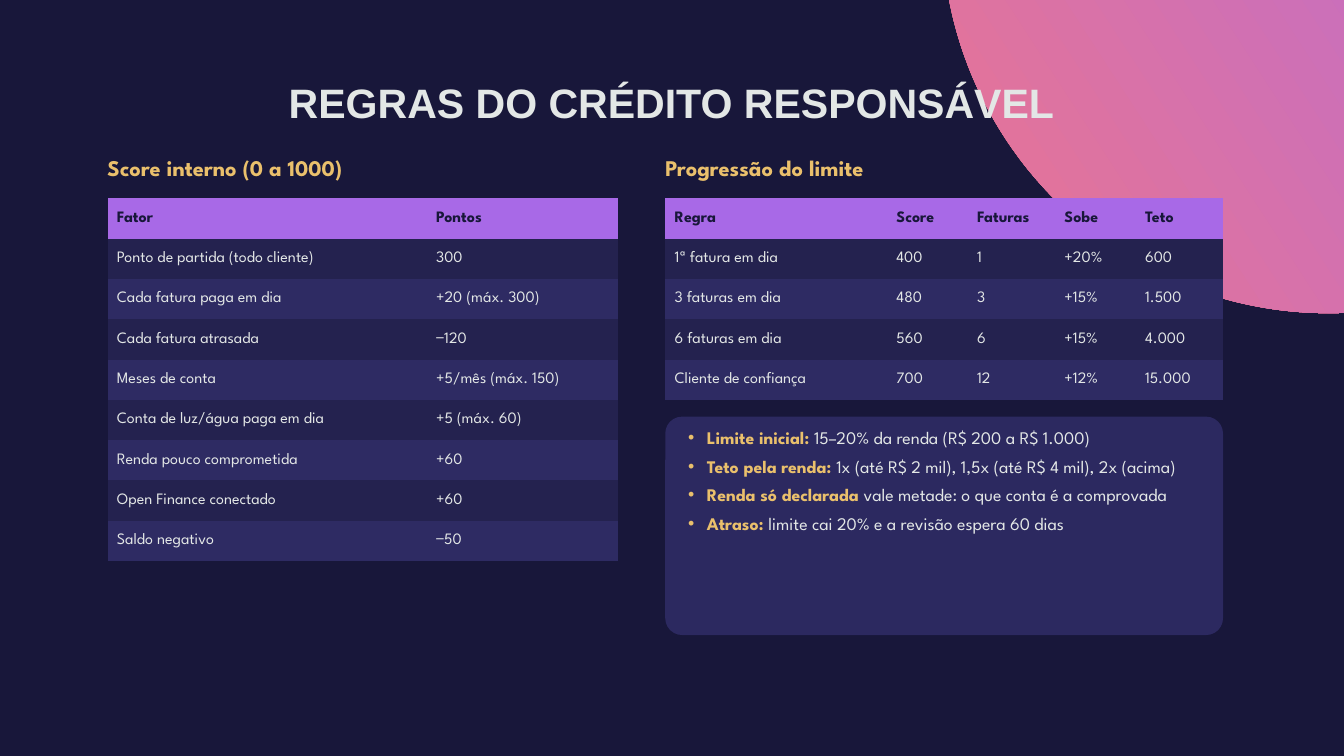
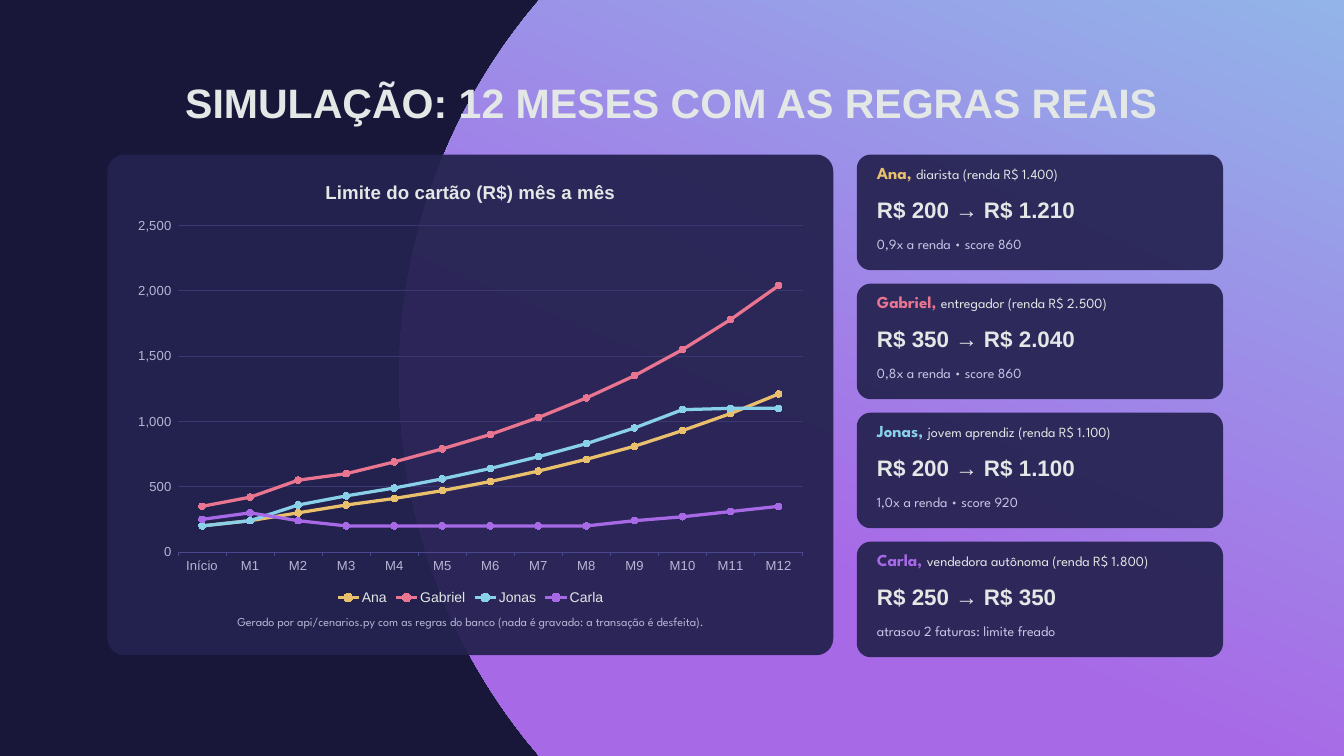
from dataclasses import dataclass

from lxml.etree import SubElement as Sub
from pptx import Presentation
from pptx.chart.data import CategoryChartData as ChartData
from pptx.dml.color import RGBColor as Rgb
from pptx.enum.chart import XL_CHART_TYPE as Kind
from pptx.enum.chart import XL_LEGEND_POSITION as Spot
from pptx.enum.chart import XL_MARKER_STYLE as Mark
from pptx.enum.shapes import MSO_SHAPE as Form
from pptx.enum.text import MSO_ANCHOR as Anchor
from pptx.enum.text import MSO_AUTO_SIZE as Fit
from pptx.enum.text import PP_ALIGN as Align
from pptx.oxml.ns import qn
from pptx.util import Inches, Pt


@dataclass(frozen=True)
class Theme:
    # Colours
    night: str = "18173A"
    panel: str = "24224F"
    band: str = "2E2B63"
    axis: str = "4A4690"
    grid: str = "3A3870"
    light: str = "E3E7E6"
    mute: str = "B8B6D6"
    pale: str = "C9C7E8"
    gold: str = "EAC06C"
    pink: str = "EA7591"
    sky: str = "89D0E9"
    violet: str = "A869E7"
    # Fonts
    head: str = "Arial"
    text: str = "League Spartan"
    # Type sizes
    title: int = 44
    sub: int = 24
    label: int = 20
    item: int = 19
    name: int = 18
    cell: int = 17
    small: int = 15
    tick: int = 14
    note: int = 13


T = Theme()
PLAIN = "{2D5ABB26-0587-4C30-8999-92F81FD0307C}"  # table style without lines
COLS = 200  # grid columns over the slide's width; rows are as tall
LEFT, TOP = 16, 23


def rgb(code):
    return Rgb.from_string(code)


class Deck:
    def __init__(self, wide, high):
        self.prs = Presentation()
        self.prs.slide_width = Inches(wide)
        self.prs.slide_height = Inches(high)
        self.unit = self.prs.slide_width / COLS
        back = self.prs.slide_master.background.fill
        back.solid()
        back.fore_color.rgb = rgb(T.night)
        self.slide = None

    def u(self, *spans):
        return [round(n * self.unit) for n in spans]

    def open(self, title, layout):
        self.slide = self.prs.slides.add_slide(self.prs.slide_layouts[layout])
        self.name = title

    def font(self, font, size, color, bold=False, face=T.text):
        font.size, font.bold, font.name = Pt(size), bold, face
        font.color.rgb = rgb(color)

    def run(self, para, text, *style):
        run = para.add_run()
        run.text = text
        self.font(run.font, *style)

    def frame(self, shape, anchor=Anchor.TOP):
        frame = shape.text_frame
        frame.word_wrap, frame.auto_size = True, Fit.NONE
        frame.vertical_anchor = anchor
        frame.margin_left = frame.margin_right = 0
        frame.margin_top = frame.margin_bottom = 0
        return frame

    def hold(self, shape, box):
        """Place a placeholder in front of what is drawn so far."""
        shape.left, shape.top, shape.width, shape.height = self.u(*box)
        shape.element.getparent().append(shape.element)

    def title(self):
        shape = self.slide.shapes.title
        self.hold(shape, (15, 10.5, 170, 9.5))
        para = self.frame(shape, Anchor.MIDDLE).paragraphs[0]
        para.alignment = Align.CENTER
        self.run(para, self.name, T.title, T.light, True, T.head)

    def disc(self, x, y, size, stops, angle):
        """Gradient circle behind the title."""
        shape = self.slide.shapes.add_shape(Form.OVAL, *self.u(x, y, size, size))
        shape.shadow.inherit = False
        shape.line.fill.background()
        shape.fill.gradient()
        shape.fill.gradient_angle = angle
        for stop, (pos, color) in zip(shape.fill.gradient_stops, stops):
            stop.position, stop.color.rgb = pos, rgb(color)

    def card(self, box, color, alpha, radius=2.5):
        shape = self.slide.shapes.add_shape(Form.ROUNDED_RECTANGLE, *self.u(*box))
        shape.shadow.inherit = False
        shape.adjustments[0] = radius / min(box[2:])
        shape.line.fill.background()
        shape.fill.solid()
        shape.fill.fore_color.rgb = rgb(color)
        tint = next(shape.element.spPr.iter(qn("a:srgbClr")))
        Sub(tint, qn("a:alpha")).set("val", str(alpha * 1000))

    def text(self, box, *runs, align=Align.LEFT):
        para = self.frame(self.slide.shapes.add_textbox(*self.u(*box))).paragraphs[0]
        para.alignment = align
        for run in runs:
            self.run(para, *run)

    def list(self, box, items):
        shape = self.slide.placeholders[1]
        self.hold(shape, box)
        frame = self.frame(shape)
        for i, (lead, rest) in enumerate(items):
            para = frame.add_paragraph() if i else frame.paragraphs[0]
            para.space_before, para.space_after = Pt(0), Pt(8)
            props = para._p.get_or_add_pPr()
            props.set("marL", str(Inches(0.32)))
            props.set("indent", str(Inches(-0.28)))
            tint = Sub(props, qn("a:buClr"))
            Sub(tint, qn("a:srgbClr")).set("val", T.gold)
            Sub(props, qn("a:buChar")).set("char", "•")
            self.run(para, lead + " ", T.item, T.gold, True)
            self.run(para, rest, T.item, T.light)

    def table(self, x, y, widths, rows, high=6):
        spot = self.u(x, y, sum(widths), high * len(rows))
        shape = self.slide.shapes.add_table(len(rows), len(widths), *spot)
        next(shape.element.iter(qn("a:tableStyleId"))).text = PLAIN
        table = shape.table
        for col, wide in zip(table.columns, self.u(*widths)):
            col.width = wide
        for r, row in enumerate(rows):
            fill = (T.band if r % 2 == 0 else T.panel) if r else T.violet
            for c, word in enumerate(row):
                cell = table.cell(r, c)
                cell.fill.solid()
                cell.fill.fore_color.rgb = rgb(fill)
                cell.vertical_anchor = Anchor.MIDDLE
                cell.margin_left = cell.margin_right = Inches(0.14)
                cell.margin_top = cell.margin_bottom = Inches(0.04)
                color = T.light if r else T.night
                self.run(cell.text_frame.paragraphs[0], word, T.cell, color, not r)

    def chart(self, box, title, cats, lines):
        data = ChartData(number_format="#,##0")
        data.categories = cats
        for name, _, vals in lines:
            data.add_series(name, vals)
        chart = self.slide.shapes.add_chart(
            Kind.LINE_MARKERS, *self.u(*box), data).chart
        self.font(chart.font, T.tick, T.light, False, T.head)
        para = chart.chart_title.text_frame.paragraphs[0]
        self.run(para, title, T.label, T.light, True, T.head)
        chart.chart_title.include_in_layout = False
        # Legend and axes
        chart.has_legend = True
        chart.legend.position = Spot.BOTTOM
        chart.legend.include_in_layout = False
        self.font(chart.legend.font, T.small, T.light, False, T.head)
        cat, val = chart.category_axis, chart.value_axis
        for axis in (cat, val):
            self.font(axis.tick_labels.font, T.tick, T.mute, False, T.head)
        val.minimum_scale = 0
        val.tick_labels.number_format = "#,##0"
        val.tick_labels.number_format_is_linked = False
        val.format.line.fill.background()
        for line, color in ((cat.format.line, T.axis),
                            (val.major_gridlines.format.line, T.grid)):
            line.color.rgb, line.width = rgb(color), Pt(0.75)
        # Series
        plot = chart.plots[0]
        plot.vary_by_categories = False
        for series, (_, color, _) in zip(plot.series, lines):
            series.smooth = False
            series.format.line.color.rgb = rgb(color)
            series.format.line.width = Pt(3.5)
            mark = series.marker
            mark.style, mark.size = Mark.CIRCLE, 7
            mark.format.fill.solid()
            mark.format.fill.fore_color.rgb = rgb(color)
            mark.format.line.color.rgb = rgb(color)


SCORE = [
    ("Fator", "Pontos"),
    ("Ponto de partida (todo cliente)", "300"),
    ("Cada fatura paga em dia", "+20 (máx. 300)"),
    ("Cada fatura atrasada", "−120"),
    ("Meses de conta", "+5/mês (máx. 150)"),
    ("Conta de luz/água paga em dia", "+5 (máx. 60)"),
    ("Renda pouco comprometida", "+60"),
    ("Open Finance conectado", "+60"),
    ("Saldo negativo", "−50"),
]
LIMIT = [
    ("Regra", "Score", "Faturas", "Sobe", "Teto"),
    ("1ª fatura em dia", "400", "1", "+20%", "600"),
    ("3 faturas em dia", "480", "3", "+15%", "1.500"),
    ("6 faturas em dia", "560", "6", "+15%", "4.000"),
    ("Cliente de confiança", "700", "12", "+12%", "15.000"),
]
RULES = [
    ("Limite inicial:", "15–20% da renda (R$ 200 a R$ 1.000)"),
    ("Teto pela renda:", "1x (até R$ 2 mil), 1,5x (até R$ 4 mil), 2x (acima)"),
    ("Renda só declarada", "vale metade: o que conta é a comprovada"),
    ("Atraso:", "limite cai 20% e a revisão espera 60 dias"),
]
LINES = [
    ("Ana", T.gold,
     (200, 240, 300, 360, 410, 470, 540, 620, 710, 810, 930, 1060, 1210)),
    ("Gabriel", T.pink,
     (350, 420, 550, 600, 690, 790, 900, 1030, 1180, 1350, 1550, 1780, 2040)),
    ("Jonas", T.sky,
     (200, 240, 360, 430, 490, 560, 640, 730, 830, 950, 1090, 1100, 1100)),
    ("Carla", T.violet,
     (250, 300, 240, 200, 200, 200, 200, 200, 200, 240, 270, 310, 350)),
]
PEOPLE = [
    ("diarista (renda R$ 1.400)", "R$ 200 → R$ 1.210", "0,9x a renda • score 860"),
    ("entregador (renda R$ 2.500)", "R$ 350 → R$ 2.040", "0,8x a renda • score 860"),
    ("jovem aprendiz (renda R$ 1.100)", "R$ 200 → R$ 1.100",
     "1,0x a renda • score 920"),
    ("vendedora autônoma (renda R$ 1.800)", "R$ 250 → R$ 350",
     "atrasou 2 faturas: limite freado"),
]


def rules(deck):
    deck.open("REGRAS DO CRÉDITO RESPONSÁVEL", 1)
    deck.disc(140.2, -68.4, 115, ((0, T.pink), (1, T.violet)), 33)
    deck.title()
    # Two headed tables
    for x, head, widths, rows in (
            (LEFT, "Score interno (0 a 1000)", (47.5, 28.5), SCORE),
            (99, "Progressão do limite", (33, 12, 13, 12, 13), LIMIT)):
        deck.text((x, TOP, sum(widths), 5), (head, T.sub, T.gold, True))
        deck.table(x, TOP + 6.5, widths, rows)
    # Rules card
    deck.card((99, 62, 83, 32.5), T.band, 95)
    deck.list((102, 63.5, 78, 30), RULES)


def months(deck):
    deck.open("SIMULAÇÃO: 12 MESES COM AS REGRAS REAIS", 5)
    deck.disc(59.4, -30, 172.5, ((0, T.sky), (0.66, T.violet)), 247)
    deck.title()
    # Chart card
    deck.card((LEFT, TOP, 108, 74.5), T.panel, 94)
    cats = ["Início"] + [f"M{n}" for n in range(1, 13)]
    deck.chart((18.5, 24.5, 103, 66), "Limite do cartão (R$) mês a mês", cats, LINES)
    deck.text((19, 91.5, 102, 5),
              ("Gerado por api/cenarios.py com as regras do banco "
               "(nada é gravado: a transação é desfeita).", T.note, T.mute),
              align=Align.CENTER)
    # One card per person
    for i, ((name, color, _), (job, jump, note)) in enumerate(zip(LINES, PEOPLE)):
        y = TOP + 19.2 * i
        deck.card((127.5, y, 54.5, 17.2), T.panel, 92, 2.06)
        deck.text((130.5, y + 1.2, 50, 5), (name + ", ", T.name, color, True),
                  (job, T.small, T.light))
        deck.text((130.5, y + 6.2, 50, 5.5), (jump, T.sub, T.light, True, T.head))
        deck.text((130.5, y + 12, 50, 4.5), (note, T.small, T.pale))


def main():
    deck = Deck(20, 11.25)
    rules(deck)
    months(deck)
    deck.prs.save("out.pptx")


if __name__ == "__main__":
    main()
